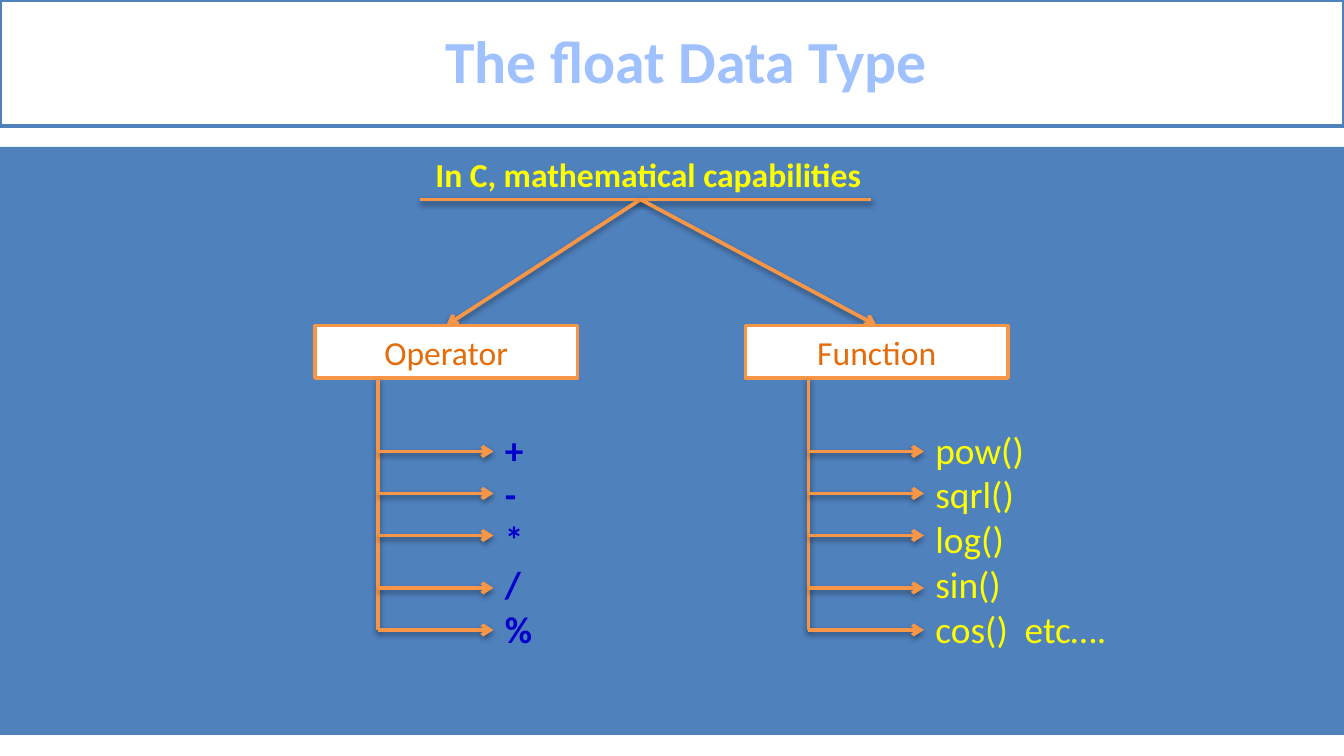
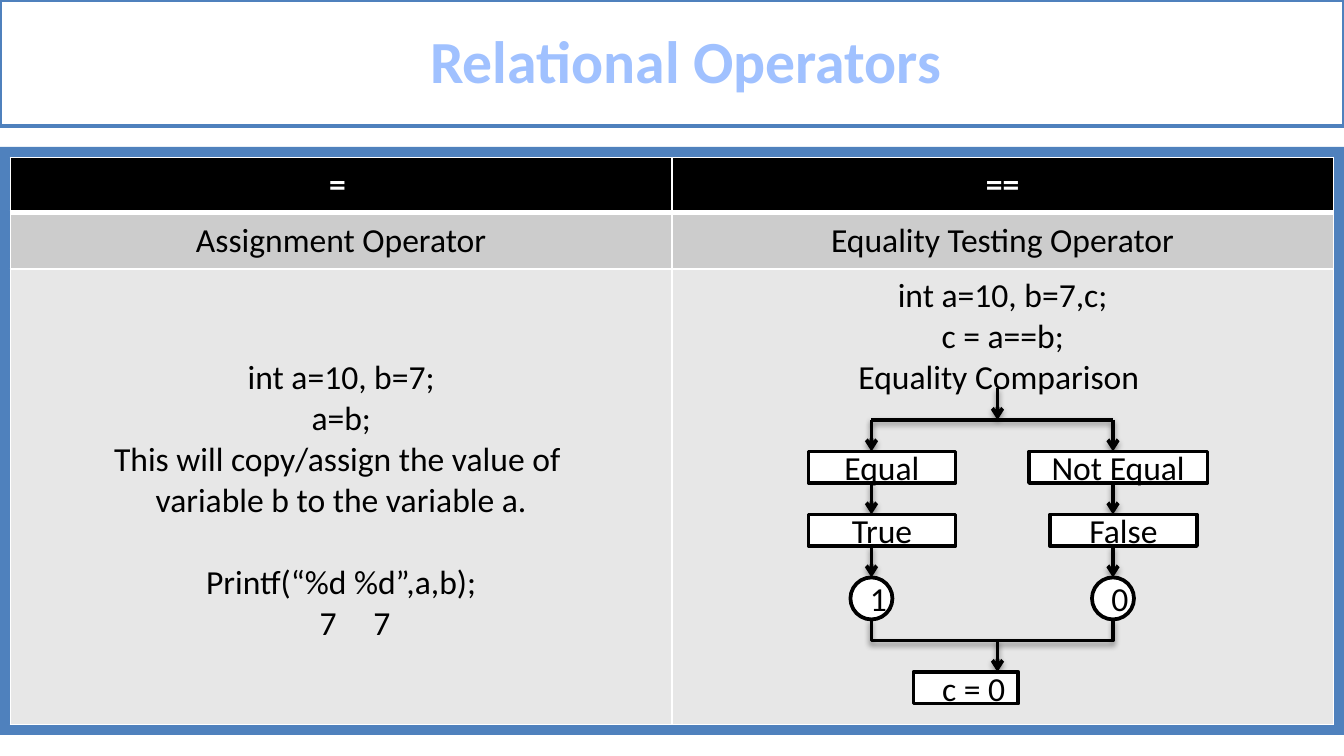
from dataclasses import dataclass

import pptx
import pptx.dml.color
import pptx.enum.shapes
import pptx.enum.text
import pptx.oxml
import pptx.oxml.ns
import pptx.util
from lxml import etree

qn = pptx.oxml.ns.qn
Pt = pptx.util.Pt
SHAPE = pptx.enum.shapes.MSO_SHAPE
ALIGN = pptx.enum.text.PP_ALIGN
ANCHOR = pptx.enum.text.MSO_ANCHOR


@dataclass(frozen=True)
class Theme:
    font: str = "Calibri"
    blue: str = "4F81BD"
    white: str = "FFFFFF"
    black: str = "000000"
    orange: str = "F79646"
    dark_orange: str = "E46C0A"
    yellow: str = "FFFF00"
    navy: str = "0000CC"
    label_gray: str = "CCCCCC"
    body_gray: str = "E7E7E7"
    title_outline: str = "467AB8"
    title_stops: tuple = ((0, "BFD3F9"), (9, "A0C1FF"), (50, "003D85"),
                          (79, "A0C1FF"), (100, "BFD3F9"))
    title: int = 32
    item: int = 20
    text: int = 18
    line: int = 2


T = Theme()
COLS, ROWS = 128, 72  # slide grid
UNIT = 10 / COLS  # one square cell, in inches
BAND = (0, 14, COLS, 56)


def grid(*cells):
    return [pptx.util.Inches(n * UNIT) for n in cells]


def rgb(color):
    return pptx.dml.color.RGBColor.from_string(color)


def sub(parent, tag, **attrs):
    return etree.SubElement(parent, qn(tag), {k: str(v) for k, v in attrs.items()})


def solid(parent, color):
    return sub(sub(parent, "a:solidFill"), "a:srgbClr", val=color)


# Text and shape helpers

def add_run(p, text, size, color, bold=False):
    r = p.add_run()
    r.text = text
    r.font.name, r.font.size, r.font.bold = T.font, Pt(size), bold
    r.font.color.rgb = rgb(color)
    return r


def set_indent(p, left, first=0):
    pPr = p._p.get_or_add_pPr()
    pPr.set("marL", str(pptx.util.Inches(left)))
    pPr.set("indent", str(pptx.util.Inches(first)))
    return pPr


def place(shape, box):
    shape.left, shape.top, shape.width, shape.height = grid(*box)


def paint(shape, fill, line=None):
    shape.shadow.inherit = False
    shape.fill.solid()
    shape.fill.fore_color.rgb = rgb(fill)
    if line:
        shape.line.color.rgb = rgb(line)
        shape.line.width = Pt(T.line)
    else:
        shape.line.fill.background()


def cast_shadow(shape):
    spPr = shape._element.spPr
    effects = spPr.find(qn("a:effectLst"))
    if effects is None:
        effects = sub(spPr, "a:effectLst")
    shadow = sub(effects, "a:outerShdw", blurRad=Pt(3.1), dist=Pt(1.6),
                 dir=5400000, rotWithShape=0)
    sub(sub(shadow, "a:srgbClr", val=T.black), "a:alpha", val=38000)


def add_line(s, x1, y1, x2, y2, color, arrow=True):
    line = s.shapes.add_connector(pptx.enum.shapes.MSO_CONNECTOR.STRAIGHT,
                                  *grid(x1, y1, x2, y2))
    line.line.color.rgb = rgb(color)
    line.line.width = Pt(T.line)
    if arrow:
        sub(line.line._get_or_add_ln(), "a:tailEnd", type="arrow")
    cast_shadow(line)


def add_label(s, box, text, line, color, kind=SHAPE.RECTANGLE, align=ALIGN.CENTER):
    sp = s.shapes.add_shape(kind, *grid(*box))
    paint(sp, T.white, line)
    tf = sp.text_frame
    tf.vertical_anchor = ANCHOR.MIDDLE
    p = tf.paragraphs[0]
    p.alignment = align
    add_run(p, text, T.text, color)


# Shared slide frame: title bar and blue band

def style_title(r):
    rPr = r._r.get_or_add_rPr()
    r.font.fill.gradient()
    r.font.fill.gradient_angle = 270
    stops = rPr.find(qn("a:gradFill")).find(qn("a:gsLst"))
    for stop in list(stops):
        stops.remove(stop)
    for pos, color in T.title_stops:
        sub(sub(stops, "a:gs", pos=pos * 1000), "a:srgbClr", val=color)
    outline = sub(rPr, "a:ln", w=Pt(0.83))
    solid(outline, T.title_outline)
    rPr.insert(0, outline)


def new_slide(prs, layout, title):
    s = prs.slides.add_slide(prs.slide_layouts[layout])
    bar = s.shapes.title
    place(bar, (0, 0, COLS, 12))
    paint(bar, T.white, T.blue)
    tf = bar.text_frame
    tf.auto_size = pptx.enum.text.MSO_AUTO_SIZE.NONE
    tf.vertical_anchor = ANCHOR.MIDDLE
    p = tf.paragraphs[0]
    p.alignment, p.line_spacing = ALIGN.CENTER, 0.96
    set_indent(p, 0.21)
    style_title(add_run(p, title, T.title, T.white, True))

    band = s.shapes.add_shape(SHAPE.RECTANGLE, *grid(*BAND))
    paint(band, T.blue)
    s.shapes._spTree.insert(2, band._element)
    return s


# Slide 1: capability tree

def heading(s, box, text):
    x, y, w, h = box
    tb = s.shapes.add_textbox(*grid(*box))
    tb.text_frame.word_wrap = True
    p = tb.text_frame.paragraphs[0]
    p.level = 2
    set_indent(p, 1.38, -0.27)
    add_run(p, text, T.text, T.yellow, True)
    add_line(s, x + 14, y + h, x + 57, y + h, T.orange, arrow=False)


def branch(s, box, name, body, items, color, bold):
    x, y, w, h = box
    add_label(s, (x, y, w, 5), name, T.orange, T.dark_orange)

    # Spine with one arrow for each item
    spine = x + 6
    offsets = (12, 16, 20, 25, 29)
    add_line(s, spine, y + 5, spine, y + offsets[-1], T.orange, arrow=False)
    for dy in offsets:
        add_line(s, spine, y + dy, spine + 11, y + dy, T.orange)

    # Item list
    place(body, (x + 4, y + 9, w, h - 9))
    tf = body.text_frame
    tf.auto_size = pptx.enum.text.MSO_AUTO_SIZE.NONE
    for i, item in enumerate(items):
        p = tf.add_paragraph() if i else tf.paragraphs[0]
        p.level = 2
        sub(set_indent(p, 1.38, -0.38), "a:buNone")
        p.space_before = Pt(0)
        add_run(p, item, T.item, color, bold)


def float_slide(prs):
    s = new_slide(prs, 3, "The float Data Type")
    heading(s, (26, 14, 61, 5), "In C, mathematical capabilities")
    branches = (
        (30, 25, "Operator", "+-*/%", T.navy, True),
        (71, 43, "Function", ("pow()", "sqrl()", "log()", "sin()", "cos()  etc…."),
         T.yellow, False),
    )
    for i, (x, width, name, items, color, bold) in enumerate(branches, 1):
        add_line(s, 61, 19, x + 12.5, 31, T.orange)
        body = s.placeholders[i]
        branch(s, (x, 31, 25, 32), name, body, items, color, bold)
        body.width = grid(width)[0]


# Slide 2: operator comparison

def fill_cell(cell, lines, fill, color, bold=False, edges=(1, 1)):
    tcPr = cell._tc.get_or_add_tcPr()
    top, bottom = edges
    for side, width in zip("LRTB", (1, 1, top, bottom)):
        solid(sub(tcPr, "a:ln" + side, w=Pt(width)), T.white)
    cell.fill.solid()
    cell.fill.fore_color.rgb = rgb(fill)
    tf = cell.text_frame
    for i, text in enumerate(lines):
        p = tf.add_paragraph() if i else tf.paragraphs[0]
        if "\t" in text:
            p.alignment = ALIGN.LEFT
            tabs = sub(p._p.get_or_add_pPr(), "a:tabLst")
            for pos in (2.2, 2.6):
                sub(tabs, "a:tab", pos=pptx.util.Inches(pos), algn="l")
        else:
            p.alignment = ALIGN.CENTER
        add_run(p, text, T.text, color, bold)


def comparison_table(s, box):
    table = s.shapes.add_table(3, 2, *grid(*box)).table
    table.horz_banding = False
    for row, height in zip(table.rows, (0.41, 0.42, 3.39)):
        row.height = pptx.util.Inches(height)
    columns = (
        ("= ", "Assignment Operator",
         ("int a=10, b=7;", "a=b;", "This will copy/assign the value of ",
          "variable b to the variable a.", "Printf(“%d %d”,a,b);", "\t7\t7")),
        ("==", "Equality Testing Operator",
         ("int a=10, b=7,c;", "c = a==b;", "Equality Comparison ")),
    )
    for c, (symbol, name, lines) in enumerate(columns):
        head, label, body = (table.cell(r, c) for r in range(3))
        fill_cell(head, [symbol], T.black, T.white, True, (1, 3))
        fill_cell(label, [name], T.label_gray, T.black, edges=(3, 1))
        fill_cell(body, lines, T.body_gray, T.black)
        head.vertical_anchor = label.vertical_anchor = ANCHOR.MIDDLE

    # The assignment code starts lower, with a gap before its output
    code = table.cell(2, 0)
    code.margin_top = pptx.util.Inches(0.66)
    code.text_frame.paragraphs[4].space_before = Pt(22)


def equality_flow(s, box):
    x, y, w, h = box
    left, right, middle = x + 6, x + 29, x + 18
    add_line(s, middle, y, middle, y + 3, T.black)
    add_line(s, left, y + 3, right, y + 3, T.black, arrow=False)

    # Two outcomes: (left edge, width, text) of each step
    outcomes = (
        (left, (x, 14, "Equal"), (x, 14, "True"), "1"),
        (right, (x + 21, 17, "Not Equal"), (x + 23, 14, "False"), "0"),
    )
    for axis, test, truth, value in outcomes:
        for top in (3, 9, 15):
            add_line(s, axis, y + top, axis, y + top + 3, T.black)
        for top, (bx, bw, text) in ((6, test), (12, truth)):
            add_label(s, (bx, y + top, bw, 3), text, T.black, T.black)
        add_label(s, (axis - 2, y + 18, 4, 4), value, T.black, T.black, SHAPE.OVAL)

    # Bracket joining both outcomes, turned to open upward
    span, depth = right - left, 2
    bracket = s.shapes.add_shape(
        SHAPE.RIGHT_BRACKET, *grid((left + right - depth) / 2,
                                   y + 23 - span / 2, depth, span))
    paint(bracket, T.white, T.black)
    bracket.fill.background()
    bracket.adjustments[0] = 0
    bracket.rotation = 90
    cast_shadow(bracket)

    add_line(s, middle, y + 24, middle, y + 27, T.black)
    add_label(s, (x + 10, y + h - 3, 10, 3), "c = 0", T.black, T.black,
              align=ALIGN.RIGHT)


def relational_slide(prs):
    s = new_slide(prs, 5, "Relational Operators")
    comparison_table(s, (1, 15, 126, 54))
    equality_flow(s, (77, 37, 38, 30))


def main():
    prs = pptx.Presentation()
    prs.slide_width, prs.slide_height = grid(COLS, ROWS)
    float_slide(prs)
    relational_slide(prs)
    prs.save("out.pptx")


if __name__ == "__main__":
    main()
